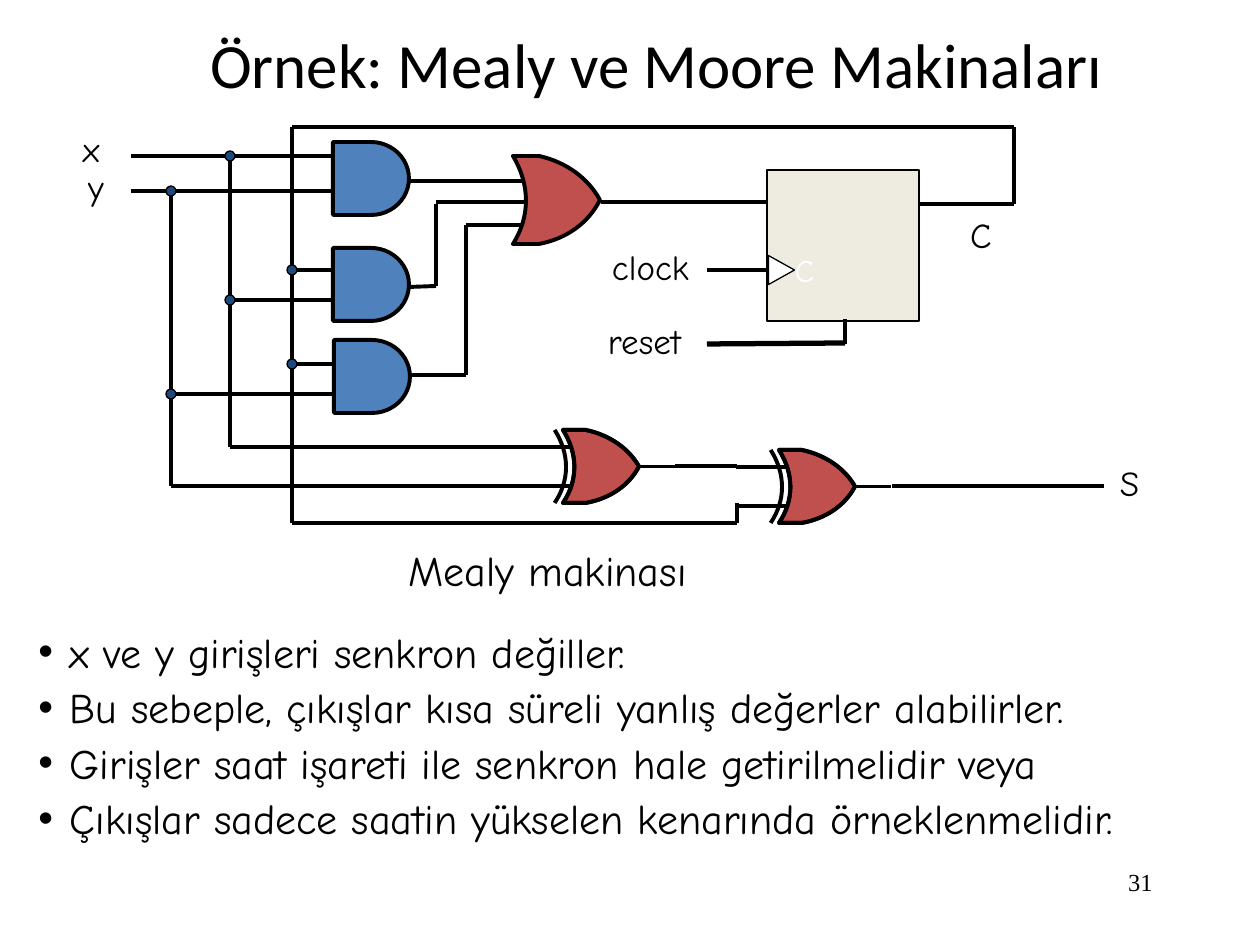
from dataclasses import dataclass
from itertools import pairwise

from lxml import etree
from pptx import Presentation
from pptx import util as u
from pptx.dml.color import RGBColor
from pptx.enum import shapes, text
from pptx.oxml.ns import qn

PX = 914400 / 126
HAND = "Comic Neue"
BLACK, WHITE, RED, BLUE = "000000", "FFFFFF", "C0504D", "4F81BD"
NAVY, CREAM = "1F497D", "EEECE1"


@dataclass
class Wire:
    points: list[tuple[int, int]]
    width: float = 2.25


@dataclass
class Label:
    lines: list[str]
    box: tuple[int, int, int, int]
    size: int = 20
    color: str = BLACK
    font: str = HAND
    inset: bool = False
    wrap: bool = False
    align: text.PP_ALIGN = text.PP_ALIGN.LEFT
    anchor: text.MSO_ANCHOR = text.MSO_ANCHOR.TOP
    bullet: bool = False


@dataclass
class CurvedGate:
    x: int
    y: int
    w: int
    h: int
    exclusive: bool


@dataclass
class Segment:
    kind: str
    points: list[tuple[float, float]]


def px(n: float) -> int:
    return round(n * PX)


def rgb(color: str) -> RGBColor:
    return RGBColor.from_string(color)


def paint(sp, fill: str | None, width: float) -> None:
    sp.shadow.inherit = False
    if fill:
        sp.fill.solid()
        sp.fill.fore_color.rgb = rgb(fill)
    else:
        sp.fill.background()
    sp.line.color.rgb = rgb(BLACK)
    sp.line.width = u.Pt(width)


def add_preset(s, kind, box: tuple[int, int, int, int], fill: str, width: float):
    sp = s.shapes.add_shape(kind, *map(px, box))
    paint(sp, fill, width)
    return sp


def add_wire(s, wire: Wire) -> None:
    for (x1, y1), (x2, y2) in pairwise(wire.points):
        c = s.shapes.add_connector(
            shapes.MSO_CONNECTOR.STRAIGHT, px(x1), px(y1), px(x2), px(y2))
        c.line.color.rgb = rgb(BLACK)
        c.line.width = u.Pt(wire.width)
        etree.SubElement(c._element.spPr, qn("a:effectLst"))


def bend_curves(sp, segments: list[Segment]) -> None:
    outline = next(sp._element.iter(qn("a:path")))
    nodes = iter(list(outline))
    for segment in segments:
        steps = [next(nodes) for _ in segment.points]
        if segment.kind == "C":
            curve = etree.Element(qn("a:cubicBezTo"))
            steps[0].addprevious(curve)
            for step in steps:
                curve.append(step[0])
                outline.remove(step)


def add_outline(s, gate: CurvedGate, segments: list[Segment], fill: str | None) -> None:
    def place(point: tuple[float, float]) -> tuple[int, int]:
        return px(gate.x + gate.w * point[0]), px(gate.y + gate.h * point[1])
    fb = s.shapes.build_freeform(*place(segments[0].points[0]), scale=1.0)
    for segment in segments[1:]:
        pts = [place(point) for point in segment.points]
        if segment.kind == "M":
            fb.move_to(*pts[0])
        else:
            fb.add_line_segments(pts, close=bool(fill) and segment is segments[-1])
    sp = fb.convert_to_shape()
    bend_curves(sp, segments)
    paint(sp, fill, 2.25)


def add_curved_gate(s, gate: CurvedGate) -> None:
    body = [
        Segment("M", [(1, 0.5)]),
        Segment("C", [(0.87, 0.76), (0.62, 0.94), (0.3, 1)]),
        Segment("L", [(0, 1)]),
        Segment("C", [(0.2, 0.69), (0.2, 0.33), (0, 0)]),
        Segment("L", [(0.3, 0)]),
        Segment("C", [(0.62, 0.07), (0.87, 0.26), (1, 0.5)]),
    ]
    if gate.exclusive:
        stubs = [(-0.56, 0.23), (-0.56, 0.77), (1.47, 0.5)]
        leads = [Segment(kind, [(x, y)]) for start, y in stubs
                 for kind, x in (("M", start), ("L", 0.46))]
        add_outline(s, gate, leads, None)
    add_outline(s, gate, body, RED)
    if gate.exclusive:
        arc = [Segment("M", [(-0.11, 1)]),
               Segment("C", [(0.09, 0.69), (0.09, 0.33), (-0.11, 0)])]
        add_outline(s, gate, body + arc, None)


def add_bullet(p) -> None:
    pPr = p._p.get_or_add_pPr()
    pPr.set("marL", str(u.Inches(0.25)))
    pPr.set("indent", str(-u.Inches(0.25)))
    etree.SubElement(pPr, qn("a:buFont")).set("typeface", "Arial")
    etree.SubElement(pPr, qn("a:buChar")).set("char", "•")
    p.line_spacing = 1.1


def add_label(s, label: Label) -> None:
    tf = s.shapes.add_textbox(*map(px, label.box)).text_frame
    frame = {"word_wrap": label.wrap, "vertical_anchor": label.anchor}
    if not label.inset:
        frame |= {f"margin_{side}": 0 for side in ("left", "right", "top", "bottom")}
    if not label.wrap:
        frame["auto_size"] = text.MSO_AUTO_SIZE.SHAPE_TO_FIT_TEXT
    for name, value in frame.items():
        setattr(tf, name, value)
    for i, line in enumerate(label.lines):
        p = tf.paragraphs[0] if i == 0 else tf.add_paragraph()
        if label.bullet:
            add_bullet(p)
        p.alignment = label.align
        r = p.add_run()
        r.text = line
        for name, value in {"name": label.font, "size": u.Pt(label.size)}.items():
            setattr(r.font, name, value)
        r.font.color.rgb = rgb(label.color)


WIRES = [
    Wire([(131, 156), (333, 156)]),
    Wire([(131, 191), (333, 191)]),
    Wire([(230, 156), (230, 447), (525, 447)]),
    Wire([(171, 191), (171, 486), (525, 486)]),
    Wire([(919, 204), (1014, 204), (1014, 127), (292, 127), (292, 523),
          (737, 523), (737, 503)]),
    Wire([(292, 270), (333, 270)]),
    Wire([(230, 300), (333, 300)]),
    Wire([(292, 364), (334, 364)]),
    Wire([(171, 394), (333, 394)]),
    Wire([(409, 181), (525, 181)]),
    Wire([(409, 287), (436, 286), (436, 204)]),
    Wire([(436, 202), (525, 202)]),
    Wire([(409, 375), (466, 375), (466, 225), (525, 225)]),
    Wire([(601, 202), (767, 202)]),
    Wire([(707, 270), (767, 270)]),
    Wire([(845, 319), (845, 344)]),
    Wire([(845, 343), (707, 344)], 3),
    Wire([(675, 466), (737, 466)]),
    Wire([(892, 486), (1104, 486)]),
]
JUNCTIONS = [(230, 156), (171, 191), (292, 270), (230, 300), (292, 364), (171, 394)]
AND_GATES = [(333, 142), (333, 248), (334, 340)]
CURVED_GATES = [
    CurvedGate(513, 156, 87, 88, False),
    CurvedGate(563, 430, 76, 73, True),
    CurvedGate(779, 450, 76, 73, True),
]
LABELS = [
    Label(["Örnek: Mealy ve Moore Makinaları"], (53, 0, 1207, 126), 36, font="Calibri",
          inset=True, wrap=True, align=text.PP_ALIGN.CENTER, anchor=text.MSO_ANCHOR.MIDDLE),
    Label(["x"], (83, 127, 20, 42)),
    Label(["y"], (88, 165, 18, 42)),
    Label(["clock"], (612, 245, 83, 42)),
    Label(["reset"], (608, 319, 88, 42)),
    Label(["C"], (970, 213, 21, 42)),
    Label(["S"], (1120, 461, 24, 42)),
    Label(["C"], (795, 251, 19, 38), 18, WHITE),
    Label(["Mealy makinası"], (396, 538, 320, 63), 24, inset=True),
    Label(["x ve y girişleri senkron değiller.",
           "Bu sebeple, çıkışlar kısa süreli yanlış değerler alabilirler.",
           "Girişler saat işareti ile senkron hale getirilmelidir veya",
           "Çıkışlar sadece saatin yükselen kenarında örneklenmelidir."],
          (26, 615, 1184, 292), 24, inset=True, wrap=True, bullet=True),
    Label(["31"], (903, 861, 262, 63), 14, font="Times New Roman", inset=True, wrap=True,
          align=text.PP_ALIGN.RIGHT),
]


def main() -> None:
    prs = Presentation()
    prs.slide_width, prs.slide_height = px(1260), px(945)
    s = prs.slides.add_slide(prs.slide_layouts[6])
    kinds = shapes.MSO_SHAPE
    add_preset(s, kinds.RECTANGLE, (767, 170, 152, 151), CREAM, 0.75)
    for wire in WIRES:
        add_wire(s, wire)
    clock_mark = add_preset(s, kinds.ISOSCELES_TRIANGLE, (767, 257, 29, 26), WHITE, 0.75)
    clock_mark.rotation = 90
    for x, y in AND_GATES:
        add_preset(s, kinds.FLOWCHART_DELAY, (x, y, 76, 73), BLUE, 2.25)
    for gate in CURVED_GATES:
        add_curved_gate(s, gate)
    for x, y in JUNCTIONS:
        add_preset(s, kinds.OVAL, (x - 5, y - 5, 10, 10), NAVY, 0.75)
    for label in LABELS:
        add_label(s, label)
    prs.save("out.pptx")


if __name__ == "__main__":
    main()
